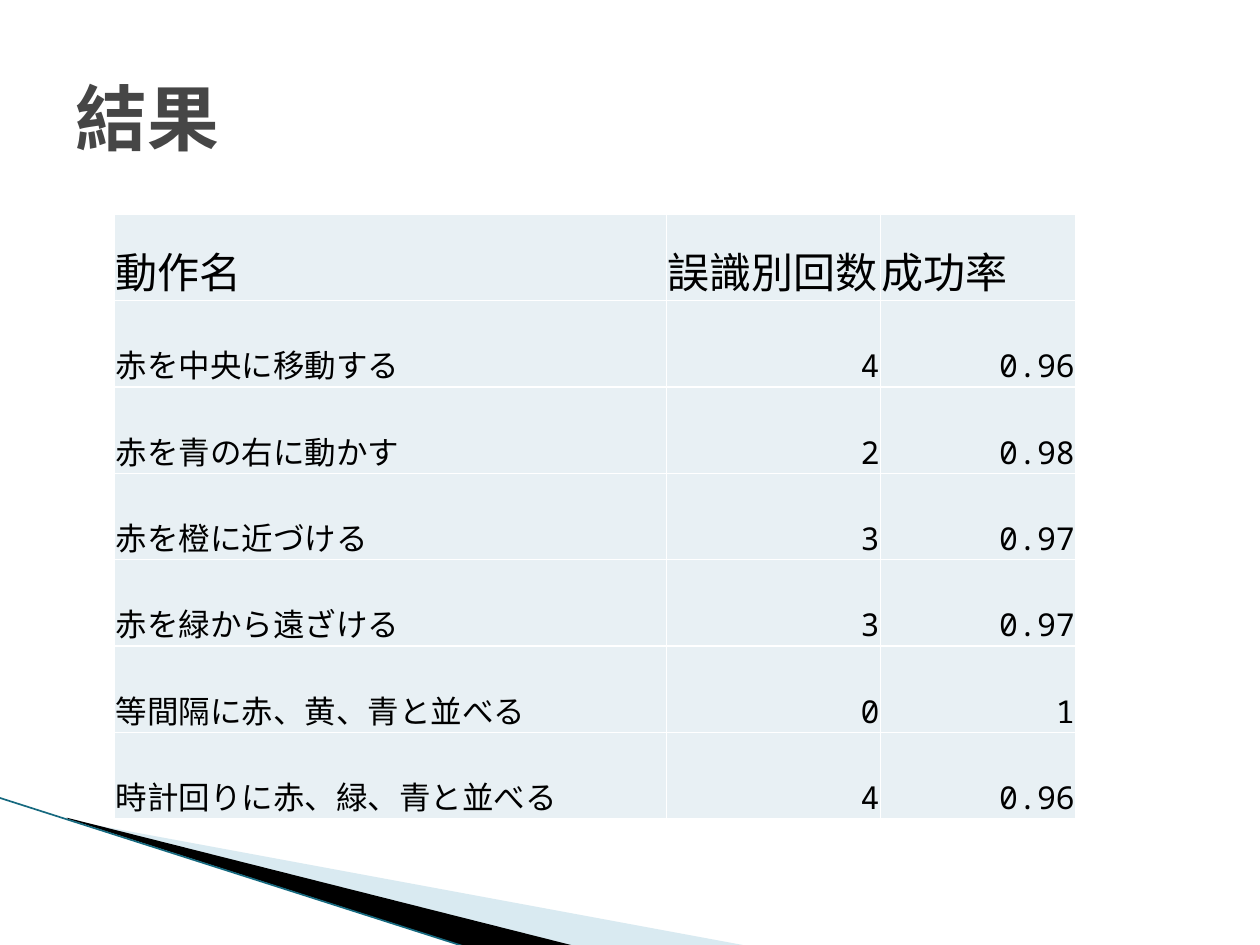
from dataclasses import dataclass

from lxml.etree import SubElement
from pptx import Presentation
from pptx.dml.color import RGBColor as Rgb
from pptx.enum.shapes import MSO_CONNECTOR as Link
from pptx.enum.text import MSO_ANCHOR as Anchor, PP_ALIGN as Align
from pptx.oxml.ns import qn
from pptx.util import Inches, Pt

FONT = "Noto Sans Mono"
COLORS = {
    "title": "464646",
    "text": "000000",
    "cell": "E8F0F4",
    "grid": "FFFFFF",
    "pale": "A0CBDC",
    "dark": "000000",
    "edge": "16697F",
}
WIDTHS = (4.38, 1.7, 1.55)
HEIGHT = 4.8
HEAD = ("動作名", "誤識別回数", "成功率")
ROWS = (
    ("赤を中央に移動する", "4", "0.96"),
    ("赤を青の右に動かす", "2", "0.98"),
    ("赤を橙に近づける", "3", "0.97"),
    ("赤を緑から遠ざける", "3", "0.97"),
    ("等間隔に赤、黄、青と並べる", "0", "1"),
    ("時計回りに赤、緑、青と並べる", "4", "0.96"),
)
CELL = {
    "vertical_anchor": Anchor.BOTTOM,
    "margin_left": Inches(0.01),
    "margin_right": Inches(0.01),
    "margin_top": Inches(0.01),
    "margin_bottom": 0,
}


@dataclass
class Wedge:
    """A filled outline, with points in hundredths of an inch."""
    points: tuple[tuple[int, int], ...]
    color: str
    alpha: int = 100


WEDGES = (
    Wedge(((55, 651), (595, 751), (456, 751), (55, 650)), "pale", 40),
    Wedge(((53, 649), (457, 751), (372, 752), (54, 650)), "dark"),
)


def paint(fill, color: str) -> None:
    fill.solid()
    fill.fore_color.rgb = Rgb.from_string(COLORS[color])


def write(frame, text: str, size: int, color: str, align=Align.LEFT, bold=False) -> None:
    para = frame.paragraphs[0]
    para.alignment = align
    run = para.add_run()
    run.text = text
    for key, value in {"name": FONT, "size": Pt(size), "bold": bold}.items():
        setattr(run.font, key, value)
    run.font.color.rgb = Rgb.from_string(COLORS[color])
    SubElement(run.font._element, qn("a:ea"), typeface=FONT)


def draw_wedge(slide, wedge: Wedge) -> None:
    start, *rest = wedge.points
    pen = slide.shapes.build_freeform(*start, scale=Inches(0.01))
    pen.add_line_segments(rest, close=True)
    shape = pen.convert_to_shape()
    shape.shadow.inherit = False
    shape.line.fill.background()
    paint(shape.fill, wedge.color)
    if wedge.alpha < 100:
        tint = shape._element.spPr.find(".//" + qn("a:srgbClr"))
        SubElement(tint, qn("a:alpha"), val=str(wedge.alpha * 1000))


def draw_edge(slide) -> None:
    ends = map(Inches, (-0.01, 6.33, 3.71, 7.52))
    edge = slide.shapes.add_connector(Link.STRAIGHT, *ends)
    edge.line.width = Pt(0.95)
    edge.line.color.rgb = Rgb.from_string(COLORS["edge"])
    SubElement(edge._element.spPr, qn("a:effectLst"))


def set_grid(cell) -> None:
    """Draw the cell's four borders; they must precede its fill."""
    props = cell._tc.get_or_add_tcPr()
    for side in ("lnL", "lnR", "lnT", "lnB"):
        line = SubElement(props, qn(f"a:{side}"), w=str(Pt(1)))
        fill = SubElement(line, qn("a:solidFill"))
        SubElement(fill, qn("a:srgbClr"), val=COLORS["grid"])


def draw_table(slide) -> None:
    data = (HEAD, *ROWS)
    box = map(Inches, (0.91, 1.7, sum(WIDTHS), HEIGHT))
    table = slide.shapes.add_table(len(data), len(HEAD), *box).table
    table.first_row = table.horz_banding = False
    for col, width in zip(table.columns, WIDTHS):
        col.width = Inches(width)
    for r, row in enumerate(data):
        table.rows[r].height = Inches(HEIGHT / len(data))
        for c, text in enumerate(row):
            cell = table.cell(r, c)
            for key, value in CELL.items():
                setattr(cell, key, value)
            set_grid(cell)
            paint(cell.fill, "cell")
            align = Align.RIGHT if r and c else Align.LEFT
            write(cell.text_frame, text, 18 if r else 24, "text", align)


def draw_title(slide) -> None:
    title = slide.shapes.title
    box = {"left": 0.5, "top": 0.3, "width": 9, "height": 1.25}
    for key, value in box.items():
        setattr(title, key, Inches(value))
    title.text_frame.vertical_anchor = Anchor.MIDDLE
    write(title.text_frame, "結果", 41, "title", bold=True)


def main() -> None:
    deck = Presentation()
    deck.slide_width, deck.slide_height = Inches(10), Inches(7.5)
    slide = deck.slides.add_slide(deck.slide_layouts[5])
    for wedge in WEDGES:
        draw_wedge(slide, wedge)
    draw_edge(slide)
    draw_title(slide)
    draw_table(slide)
    deck.save("out.pptx")


if __name__ == "__main__":
    main()
